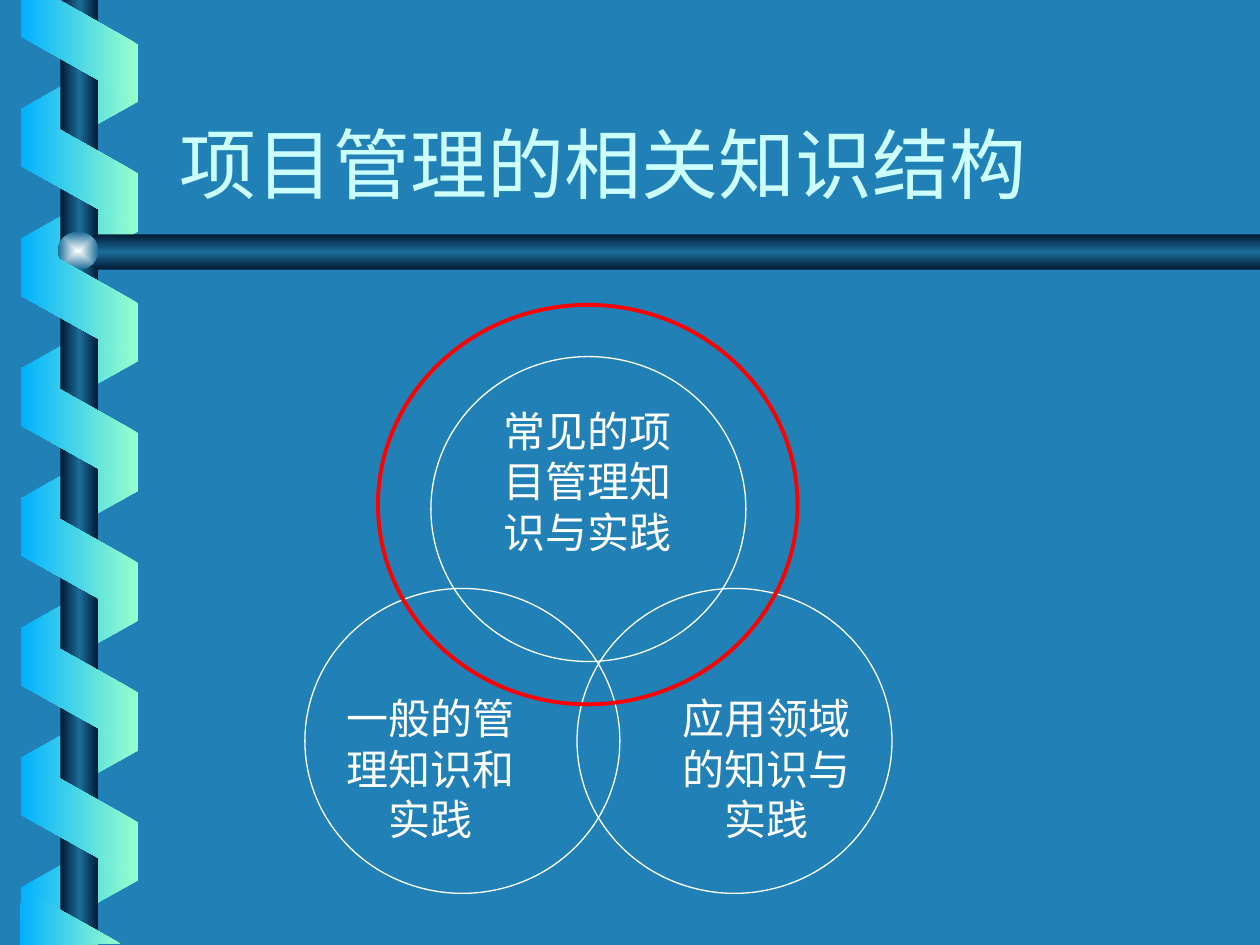
"""Build a slide showing the related knowledge areas of project management."""
from pptx import Presentation
from pptx.dml.color import RGBColor
from pptx.enum.shapes import MSO_SHAPE
from pptx.enum.text import MSO_ANCHOR, PP_ALIGN
from pptx.oxml import parse_xml
from pptx.oxml.ns import nsdecls
from pptx.util import Inches, Pt

BACKGROUND = RGBColor(0x21, 0x81, 0xB7)
WHITE = RGBColor(0xFF, 0xFF, 0xFF)
RED = RGBColor(0xFF, 0x00, 0x00)
PALE = RGBColor(0xCC, 0xFF, 0xFF)
NAVY = RGBColor(0x00, 0x19, 0x32)
STEEL = RGBColor(0x1C, 0x6D, 0x9A)
SKY = RGBColor(0x01, 0xB0, 0xFF)
MINT = RGBColor(0x99, 0xFF, 0xCC)
BALL = RGBColor(0xFE, 0xFF, 0xFF)

TITLE = "项目管理的相关知识结构"
AREAS = [
    ("常见的项目管理知识与实践", (3.42, 2.83), (3.83, 3.17)),
    ("一般的管理知识和实践", (2.42, 4.67), (2.58, 5.45)),
    ("应用领域的知识与实践", (4.58, 4.67), (5.25, 5.45)),
]
RING = (3, 2.42, 3.33, 3.17)
CIRCLE_SIZE = (2.5, 2.42)
LABEL_SIZE = (1.67, 1.3)

TURN = 1.03
BACK_BANDS = [0.37 + TURN * i for i in range(7)]
FRONT_BANDS = [0.88 + TURN * i for i in range(6)]
ROD = [(10, 1.86), (0.76, 1.86), (0.6, 2), (0.76, 2.14), (10, 2.14)]
BAND_ENDS = [
    [(0.17, 0), (0.17, 0.29), (1.09, 0.81), (1.09, 0.35), (0.47, 0)],
    [(0.96, 7.49), (0.17, 7.05), (0.16, 7.5)],
]
LINEAR = '<a:lin ang="{}" scaled="1"/>'
CENTRED = ('<a:path path="rect"><a:fillToRect l="50000" t="50000" '
           'r="50000" b="50000"/></a:path>')


def set_gradient(sp, colors, angle=None):
    stops = "".join(
        f'<a:gs pos="{100000 * i // (len(colors) - 1)}"><a:srgbClr val="{c}"/></a:gs>'
        for i, c in enumerate(colors))
    shade = CENTRED if angle is None else LINEAR.format(angle * 60000)
    sp.fill.background()
    old = sp.fill._xPr.find("{*}noFill")
    old.getparent().replace(old, parse_xml(
        f'<a:gradFill rotWithShape="0" {nsdecls("a")}>'
        f'<a:gsLst>{stops}</a:gsLst>{shade}</a:gradFill>'))
    sp.line.fill.background()
    sp.shadow.inherit = False


def add_preset(s, kind, box):
    sp = s.shapes.add_shape(kind, *map(Inches, box))
    sp.shadow.inherit = False
    return sp


def add_free(s, points, colors, angle):
    pts = [(Inches(x), Inches(y)) for x, y in points]
    builder = s.shapes.build_freeform(*pts[0])
    builder.add_line_segments(pts[1:], close=True)
    set_gradient(builder.convert_to_shape(), colors, angle)


def add_band(s, top, front):
    sp = add_preset(s, MSO_SHAPE.PARALLELOGRAM, (0.14, top, 0.98, 0.93))
    sp.adjustments[0] = 0.56
    sp.rotation = 270 if front else 90
    if not front:
        sp._element.spPr.xfrm.set("flipH", "1")
    set_gradient(sp, [MINT, SKY] if front else [SKY, MINT], 180)


def add_circle(s, box, color, width):
    sp = add_preset(s, MSO_SHAPE.OVAL, box)
    sp.fill.background()
    sp.line.color.rgb = color
    sp.line.width = Pt(width)


def add_text(s, text, box, color, align, anchor, **font):
    tf = s.shapes.add_textbox(*map(Inches, box)).text_frame
    tf.word_wrap = True
    tf.vertical_anchor = anchor
    p = tf.paragraphs[0]
    p.alignment = align
    r = p.add_run()
    r.text = text
    r.font.color.rgb = color
    for name, value in font.items():
        setattr(r.font, name, value)


def add_spiral(s):
    for top in BACK_BANDS:
        add_band(s, top, False)
    pole = add_preset(s, MSO_SHAPE.RECTANGLE, (0.48, 0, 0.3, 7.5))
    set_gradient(pole, [NAVY, STEEL, NAVY], 180)
    add_free(s, ROD, [NAVY, STEEL, NAVY], 90)
    ball = add_preset(s, MSO_SHAPE.OVAL, (0.46, 1.84, 0.32, 0.3))
    set_gradient(ball, [BALL, STEEL])
    for top in FRONT_BANDS:
        add_band(s, top, True)
    for points in BAND_ENDS:
        add_free(s, points, [MINT, SKY], 180)


def main():
    prs = Presentation()
    prs.slide_width, prs.slide_height = Inches(10), Inches(7.5)
    s = prs.slides.add_slide(prs.slide_layouts[6])
    s.background.fill.solid()
    s.background.fill.fore_color.rgb = BACKGROUND
    add_spiral(s)
    add_text(s, TITLE, (1.33, 0.46, 8.5, 1.25), PALE, PP_ALIGN.LEFT,
             MSO_ANCHOR.BOTTOM, size=Pt(44), name="Roboto Condensed")
    for text, circle, label in AREAS:
        add_circle(s, circle + CIRCLE_SIZE, WHITE, 0.75)
        add_text(s, text, label + LABEL_SIZE, WHITE, PP_ALIGN.CENTER,
                 MSO_ANCHOR.TOP, size=Pt(24), name="Times New Roman")
    add_circle(s, RING, RED, 2.25)
    prs.save("out.pptx")


if __name__ == "__main__":
    main()
